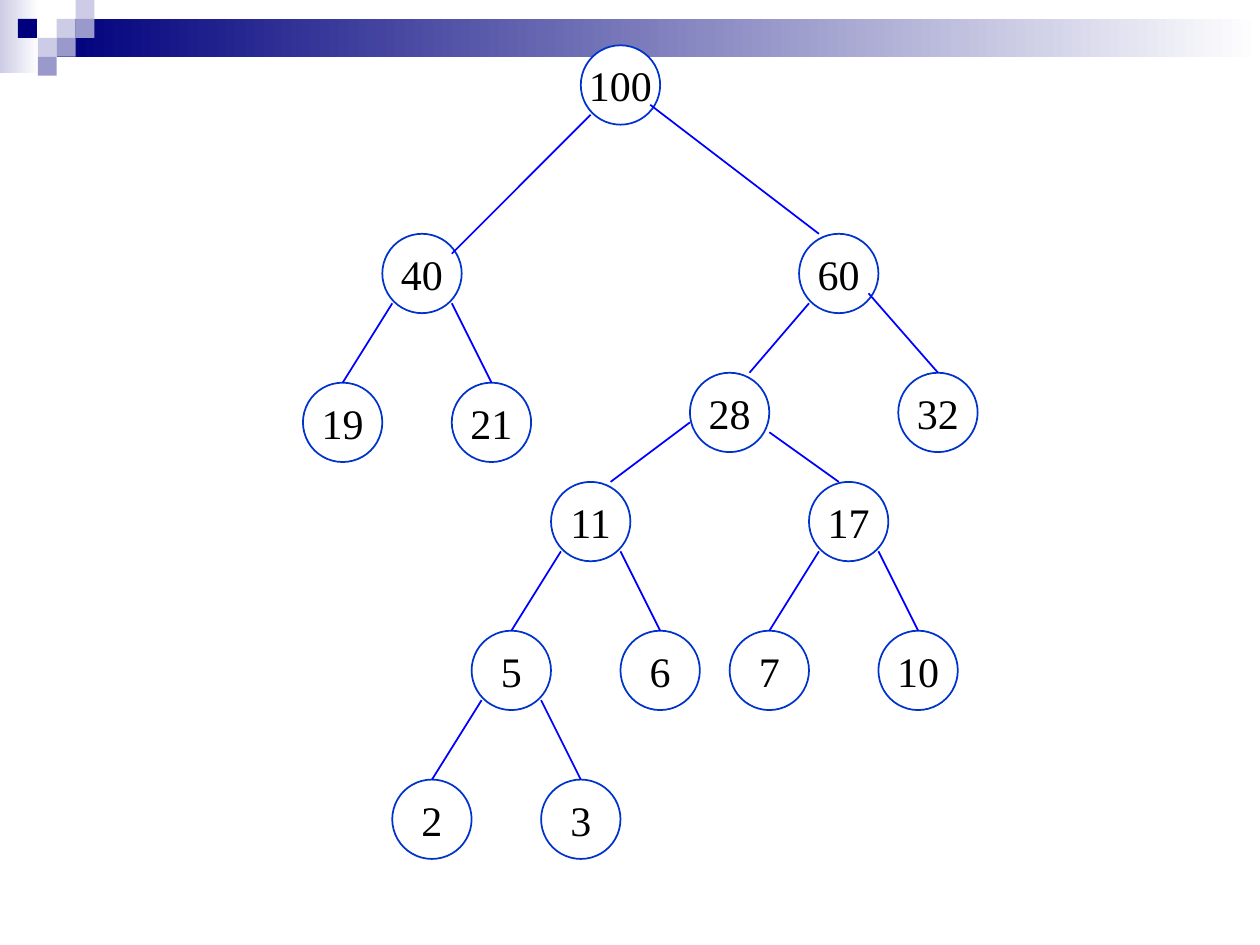
from dataclasses import dataclass

import lxml.etree
import pptx
import pptx.dml.color
import pptx.enum.shapes
import pptx.enum.text
import pptx.oxml.ns
import pptx.slide
import pptx.util

GRID = 5.67
NODE_SIZE = 8
ROOT_LEFT, ROOT_TOP = 331.9, 25.9
SQUARE = 10.8
TOP_CENTER = (4, 0)
LEFT_START, RIGHT_START = (1, 7), (7, 7)
SHAPES = pptx.enum.shapes.MSO_SHAPE
NODE_FONT = {"name": "Times New Roman", "size": pptx.util.Pt(24)}
NODE_FRAME = {
    "word_wrap": False,
    "vertical_anchor": pptx.enum.text.MSO_ANCHOR.MIDDLE,
    "margin_left": pptx.util.Pt(7.2),
    "margin_right": pptx.util.Pt(7.2),
    "margin_top": pptx.util.Pt(3.6),
    "margin_bottom": pptx.util.Pt(3.6),
}


@dataclass(frozen=True)
class Block:
    left: float
    top: float
    width: float
    height: float
    colors: tuple[str, ...]


@dataclass(frozen=True)
class Node:
    value: str
    column: int
    row: int


@dataclass(frozen=True)
class Edge:
    parent: str
    child: str
    start: tuple[int, int]
    end: tuple[int, int] = TOP_CENTER


BANNER = [
    Block(0, 0, 22.3, 41.8, ("CCCCE6", "FFFFFF")),
    Block(32.4, 10.8, 687.6, 21.6, ("00007D", "FFFFFF")),
]
SQUARES = [
    Block(column * SQUARE, row * SQUARE, SQUARE, SQUARE, (color,))
    for column, row, color in [
        (3, 1, "CCCCE6"), (4, 0, "CCCCE6"), (4, 1, "9999CC"),
        (2, 2, "CCCCE6"), (0.95, 1, "00007D"), (3, 2, "9999CC"),
        (2, 3, "9999CC"),
    ]
]
UPPER_NODES = [
    Node("100", 0, 0), Node("40", -20, 19), Node("60", 22, 19),
    Node("28", 11, 33), Node("32", 32, 33),
    Node("11", -3, 44), Node("17", 23, 44),
]
UPPER_EDGES = [
    Edge("100", "40", LEFT_START, (7, 2)),
    Edge("100", "60", (7, 6), (2, 0)),
    Edge("60", "28", LEFT_START, (6, 0)),
    Edge("60", "32", (7, 6)),
    Edge("28", "11", (0, 5), (6, 0)),
    Edge("28", "17", (8, 6), (3, 0)),
]
REGULAR_SPLITS = [
    ("40", "19", "21"), ("11", "5", "6"), ("17", "7", "10"), ("5", "2", "3"),
]


def rgb(color: str) -> pptx.dml.color.RGBColor:
    return pptx.dml.color.RGBColor.from_string(color)


def set_values(target: object, values: dict) -> None:
    for name, value in values.items():
        setattr(target, name, value)


def grid_point(node: Node, offset: tuple[int, int] = (0, 0)) -> tuple:
    return (
        pptx.util.Pt(ROOT_LEFT + (node.column + offset[0]) * GRID),
        pptx.util.Pt(ROOT_TOP + (node.row + offset[1]) * GRID),
    )


def draw_block(slide: pptx.slide.Slide, block: Block) -> None:
    bounds = (block.left, block.top, block.width, block.height)
    shape = slide.shapes.add_shape(SHAPES.RECTANGLE, *map(pptx.util.Pt, bounds))
    shape.shadow.inherit = False
    shape.line.fill.background()
    if len(block.colors) == 1:
        shape.fill.solid()
        shape.fill.fore_color.rgb = rgb(block.colors[0])
    else:
        shape.fill.gradient()
        shape.fill.gradient_angle = 0
        for position, (stop, color) in enumerate(zip(shape.fill.gradient_stops, block.colors)):
            stop.position = position
            stop.color.rgb = rgb(color)


def draw_node(slide: pptx.slide.Slide, node: Node):
    size = pptx.util.Pt(NODE_SIZE * GRID)
    shape = slide.shapes.add_shape(SHAPES.OVAL, *grid_point(node), size, size)
    shape.shadow.inherit = False
    shape.fill.solid()
    shape.fill.fore_color.rgb = rgb("FFFFFF")
    shape.line.color.rgb = rgb("0033CC")
    shape.line.width = pptx.util.Pt(1)
    set_values(shape.text_frame, NODE_FRAME)
    paragraph = shape.text_frame.paragraphs[0]
    paragraph.text = node.value
    paragraph.alignment = pptx.enum.text.PP_ALIGN.CENTER
    set_values(paragraph.font, NODE_FONT)
    paragraph.font.color.rgb = rgb("000000")
    return shape


def draw_edge(slide: pptx.slide.Slide, edge: Edge, nodes: dict, circles: dict) -> None:
    connector = slide.shapes.add_connector(
        pptx.enum.shapes.MSO_CONNECTOR.STRAIGHT,
        *grid_point(nodes[edge.parent], edge.start),
        *grid_point(nodes[edge.child], edge.end),
    )
    connector.line.color.rgb = rgb("0000FF")
    connector.line.width = pptx.util.Pt(1)
    lxml.etree.SubElement(connector._element.spPr, pptx.oxml.ns.qn("a:effectLst"))
    if edge.end == TOP_CENTER:
        connector.end_connect(circles[edge.child], 0)


def build_tree() -> tuple[dict[str, Node], list[Edge]]:
    nodes = {node.value: node for node in UPPER_NODES}
    edges = list(UPPER_EDGES)
    for parent, left, right in REGULAR_SPLITS:
        origin = nodes[parent]
        for child, shift, start in [(left, -8, LEFT_START), (right, 7, RIGHT_START)]:
            nodes[child] = Node(child, origin.column + shift, origin.row + 15)
            edges.append(Edge(parent, child, start))
    return nodes, edges


def main() -> None:
    presentation = pptx.Presentation()
    presentation.slide_width = pptx.util.Pt(720)
    presentation.slide_height = pptx.util.Pt(540)
    slide = presentation.slides.add_slide(presentation.slide_layouts[6])
    for block in BANNER + SQUARES:
        draw_block(slide, block)
    nodes, edges = build_tree()
    circles = {value: draw_node(slide, node) for value, node in nodes.items()}
    for edge in edges:
        draw_edge(slide, edge, nodes, circles)
    presentation.save("out.pptx")


if __name__ == "__main__":
    main()
